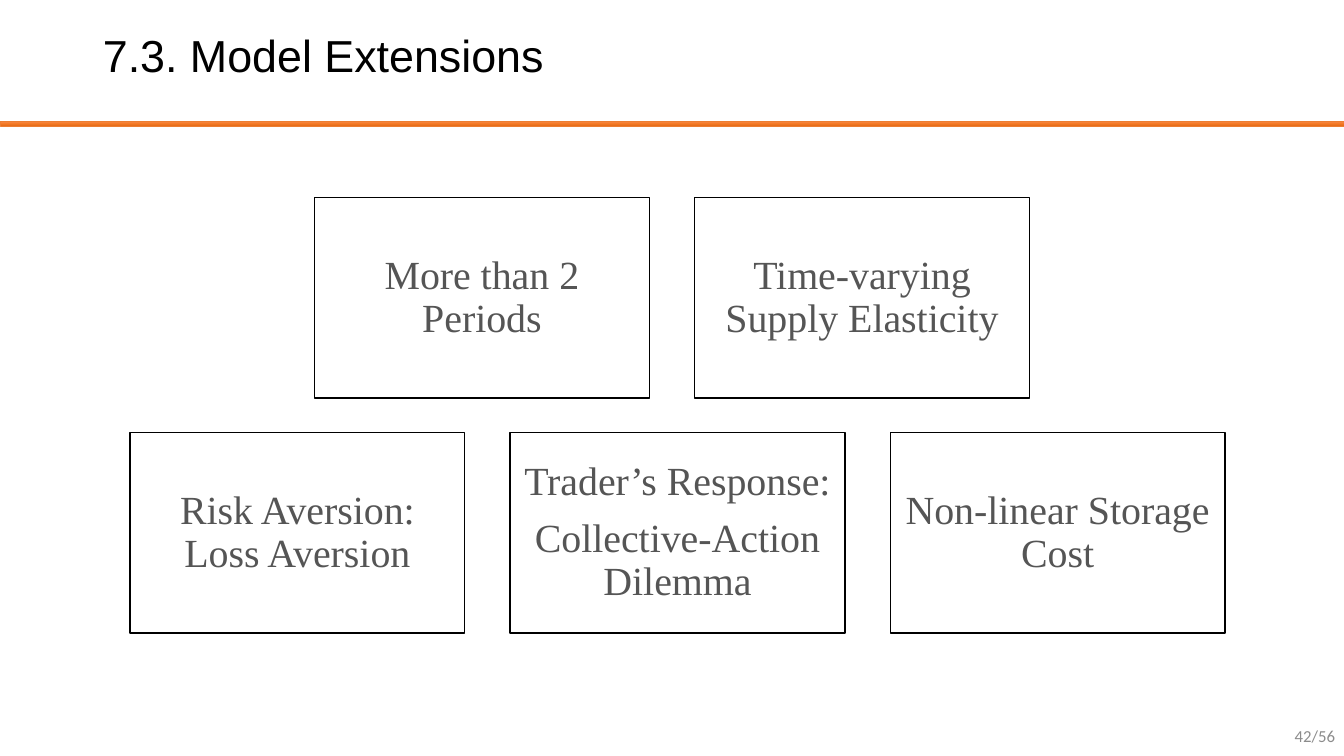
from copy import deepcopy
from dataclasses import dataclass

from pptx import Presentation
from pptx import util as u
from pptx.dml.color import RGBColor
from pptx.enum import shapes, text


@dataclass(frozen=True)
class Theme:
    title_font: str = "Arial"
    body_font: str = "Times New Roman"
    number_font: str = "Calibri"
    title_size: float = 32
    body_size: float = 28.5
    number_size: float = 12
    black: str = "000000"
    white: str = "FFFFFF"
    body: str = "555555"
    number: str = "8C8C8C"
    rule_line: str = "ED7D31"
    rule_fill: tuple = ("F18C57", "F67B28", "E56C19")


class SlideBuilder:
    def __init__(self, prs, theme):
        self.theme = theme
        self.slide = prs.slides.add_slide(prs.slide_layouts[5])

    def place(self, sp, left, top, width, height):
        sp.left, sp.top = u.Inches(left), u.Inches(top)
        sp.width, sp.height = u.Inches(width), u.Inches(height)

    def add_text(self, p, words, font, size, color, align):
        p.alignment = align
        r = p.add_run()
        r.text = words
        r.font.name = font
        r.font.size = u.Pt(size)
        r.font.color.rgb = RGBColor.from_string(color)

    def rectangle(self, left, top, width, height, line, line_width):
        sp = self.slide.shapes.add_shape(
            shapes.MSO_SHAPE.RECTANGLE, u.Inches(left), u.Inches(top),
            u.Inches(width), u.Inches(height))
        sp.shadow.inherit = False
        sp.line.color.rgb = RGBColor.from_string(line)
        sp.line.width = u.Pt(line_width)
        return sp

    def title(self, words):
        t = self.theme
        sp = self.slide.shapes.title
        self.place(sp, 0.92, -0.15, 11.5, 1.45)
        tf = sp.text_frame
        tf.word_wrap = True
        tf.vertical_anchor = text.MSO_ANCHOR.MIDDLE
        p = tf.paragraphs[0]
        p.line_spacing = 0.9
        self.add_text(p, words, t.title_font, t.title_size, t.black, text.PP_ALIGN.LEFT)

    def rule(self, top, width, height):
        t = self.theme
        sp = self.rectangle(0, top, width, height, t.rule_line, 0.5)
        sp.fill.gradient()
        sp.fill.gradient_angle = 270
        # A new gradient has two stops; add the third
        first = sp._element.spPr.find(".//{*}gs")
        first.addnext(deepcopy(first))
        for i, (stop, color) in enumerate(zip(sp.fill.gradient_stops, t.rule_fill)):
            stop.position = i / 2
            stop.color.rgb = RGBColor.from_string(color)

    def box(self, left, top, width, height, lines):
        t = self.theme
        sp = self.rectangle(left, top, width, height, t.black, 1)
        sp.fill.solid()
        sp.fill.fore_color.rgb = RGBColor.from_string(t.white)
        tf = sp.text_frame
        tf.word_wrap = True
        tf.vertical_anchor = text.MSO_ANCHOR.MIDDLE
        tf.margin_left = tf.margin_right = u.Inches(0.13)
        tf.margin_top = tf.margin_bottom = u.Inches(0.13)
        for i, words in enumerate(lines):
            p = tf.paragraphs[0] if i == 0 else tf.add_paragraph()
            p.line_spacing = 0.9
            if i < len(lines) - 1:
                p.space_after = u.Pt(10)
            self.add_text(p, words, t.body_font, t.body_size, t.body, text.PP_ALIGN.CENTER)

    def page_number(self, words):
        t = self.theme
        sp = self.slide.shapes.add_textbox(0, 0, 0, 0)
        self.place(sp, 10.34, 7.1, 3, 0.4)
        tf = sp.text_frame
        tf.word_wrap = True
        tf.vertical_anchor = text.MSO_ANCHOR.MIDDLE
        self.add_text(tf.paragraphs[0], words, t.number_font, t.number_size, t.number,
                      text.PP_ALIGN.RIGHT)


def main():
    prs = Presentation()
    prs.slide_width, prs.slide_height = u.Inches(13.33), u.Inches(7.5)
    s = SlideBuilder(prs, Theme())

    # Header and page number
    s.page_number("42/56")
    s.rule(1.2, 13.33, 0.05)
    s.title("7.3. Model Extensions")

    # Extension boxes: each row has a left edge, a top and its texts
    box_width, box_height, step = 3.32, 1.99, 3.77
    rows = [
        (3.12, 1.96, [["More than 2 Periods"], ["Time-varying Supply Elasticity"]]),
        (1.29, 4.29, [["Risk Aversion: Loss Aversion"],
                      ["Trader’s Response:", "Collective-Action Dilemma"],
                      ["Non-linear Storage Cost"]]),
    ]
    for left, top, extensions in rows:
        for column, lines in enumerate(extensions):
            s.box(left + column * step, top, box_width, box_height, lines)

    prs.save("out.pptx")


if __name__ == "__main__":
    main()
